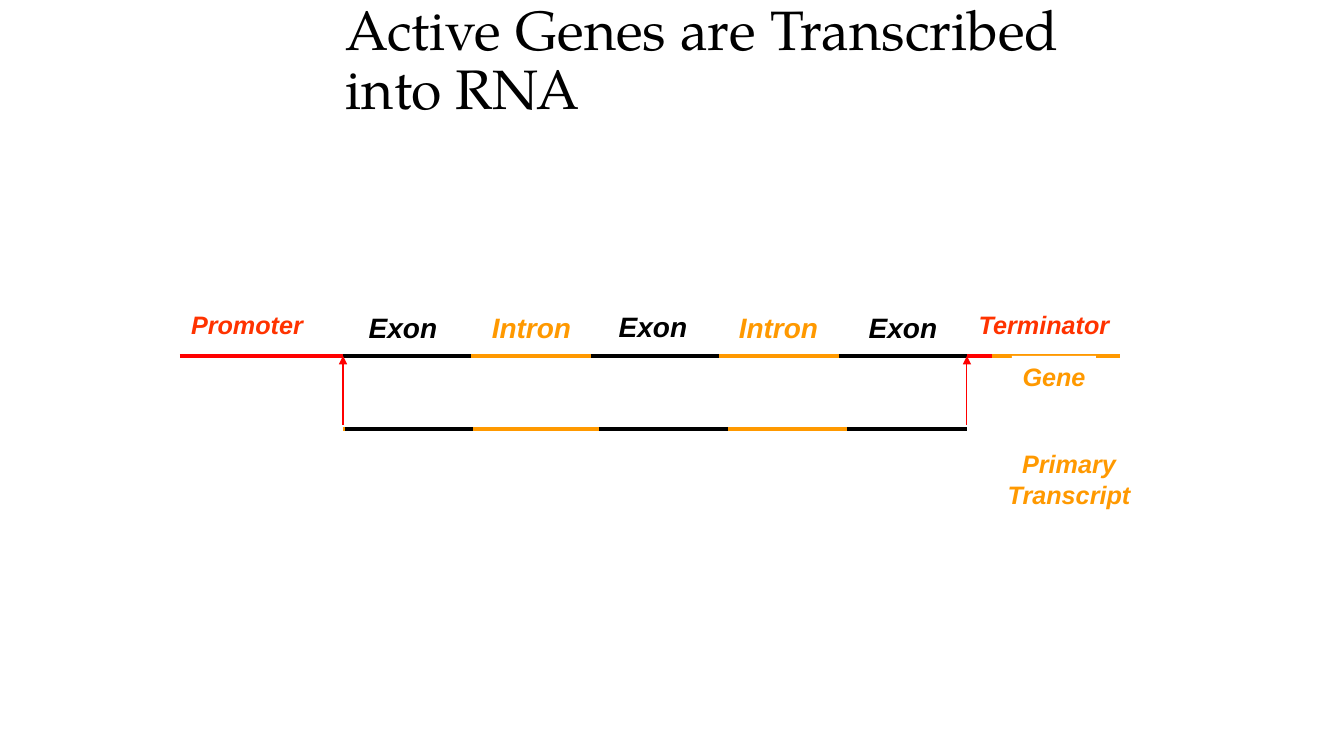
"""Build a slide showing how an active gene is transcribed into RNA."""
from lxml import etree
from pptx import Presentation
from pptx.dml.color import RGBColor
from pptx.enum.shapes import MSO_CONNECTOR, MSO_SHAPE
from pptx.enum.text import MSO_ANCHOR, MSO_AUTO_SIZE, PP_ALIGN
from pptx.oxml.ns import qn
from pptx.util import Emu, Pt

STRAIGHT = MSO_CONNECTOR.STRAIGHT
RECTANGLE = MSO_SHAPE.RECTANGLE
MIDDLE = MSO_ANCHOR.MIDDLE
GROW = MSO_AUTO_SIZE.SHAPE_TO_FIT_TEXT
CENTER = PP_ALIGN.CENTER
LEFT = PP_ALIGN.LEFT

EMU_PER_PX = 914400 / 100.8
BLACK, WHITE, RED = "000000", "FFFFFF", "FF0000"
ORANGE, VERMILION = "FF9900", "FF3300"

GENE_Y, TRANSCRIPT_Y = 356, 429
GENE_START, GENE_END = 180, 1120
CODING_START, CODING_END = 343, 967
GENE_EXONS = [(CODING_START, 471), (591, 719), (839, CODING_END)]
TRANSCRIPT_EXONS = [(345, 473), (599, 728), (847, CODING_END)]
FLANKS = [(CODING_END, 992), (318, CODING_START), (GENE_START, CODING_START)]

TRANSCRIPT_LABEL = ("Primary\nTranscript", (997, 443, 144, 72), 18, ORANGE)
GENE_LABELS = [
    ("Gene", (1012, 356, 84, 40), 18, ORANGE),
    ("Intron", (481, 305, 101, 45), 20, ORANGE),
    ("Intron", (728, 305, 101, 45), 20, ORANGE),
    ("Exon", (358, 305, 90, 45), 20, BLACK),
    ("Exon", (608, 304, 90, 45), 20, BLACK),
    ("Exon", (858, 305, 90, 45), 20, BLACK),
    ("Promoter", (180, 304, 134, 41), 18, VERMILION),
    ("Terminator", (967, 304, 154, 41), 18, VERMILION),
]


def px(length):
    """Convert pixels to EMU."""
    return Emu(round(length * EMU_PER_PX))


def color(hex_value):
    """Convert a hex string to a colour."""
    return RGBColor.from_string(hex_value)


def apply(target, values):
    """Set each attribute named in values on target."""
    for name, value in values.items():
        setattr(target, name, value)


def write(frame, text, align, spacing, hex_color, font_values):
    """Fill a text frame, one paragraph for each line of text."""
    for index, line in enumerate(text.split("\n")):
        paragraph = frame.paragraphs[0] if index == 0 else frame.add_paragraph()
        apply(paragraph, {"alignment": align, "line_spacing": spacing})
        run = paragraph.add_run()
        run.text = line
        apply(run.font, font_values)
        run.font.color.rgb = color(hex_color)


def add_title(slide, text):
    """Add the slide title."""
    title = slide.shapes.add_textbox(*map(px, (336, 25, 840, 74)))
    apply(title.text_frame, {"word_wrap": True, "vertical_anchor": MIDDLE,
                             "margin_right": px(20)})
    write(title.text_frame, text, LEFT, 0.9, BLACK,
          {"name": "TeX Gyre Pagella", "size": Pt(39.6)})


def add_label(slide, text, box, size, hex_color):
    """Add a white box that names a part of the gene."""
    label = slide.shapes.add_shape(RECTANGLE, *map(px, box))
    label.shadow.inherit = False
    label.fill.solid()
    label.fill.fore_color.rgb = color(WHITE)
    label.line.fill.background()
    apply(label.text_frame, {"word_wrap": False, "auto_size": GROW})
    write(label.text_frame, text, CENTER, 1.0, hex_color,
          {"name": "Arial", "size": Pt(size), "bold": True, "italic": True})


def add_line(slide, start, end, hex_color, width=2.25):
    """Add a straight line and return it."""
    line = slide.shapes.add_connector(STRAIGHT, *map(px, start + end))
    line.line.color.rgb = color(hex_color)
    line.line.width = Pt(width)
    etree.SubElement(line._element.spPr, qn("a:effectLst"))
    return line


def add_strand(slide, y, start, end, exons):
    """Add an orange strand with its exons in black."""
    add_line(slide, (start, y), (end, y), ORANGE)
    for exon_start, exon_end in exons:
        add_line(slide, (exon_start, y), (exon_end, y), BLACK)


def add_boundary_arrow(slide, x):
    """Add a thin red arrow pointing up at the gene."""
    arrow = add_line(slide, (x, GENE_Y), (x, TRANSCRIPT_Y - 4), RED, 0.75)
    etree.SubElement(arrow.line._get_or_add_ln(), qn("a:headEnd"), type="triangle")


def main():
    """Build and save the slide."""
    deck = Presentation()
    apply(deck, {"slide_width": px(1344), "slide_height": px(756)})
    slide = deck.slides.add_slide(deck.slide_layouts[6])
    add_title(slide, "Active Genes are Transcribed into RNA")
    add_strand(slide, TRANSCRIPT_Y, CODING_START, CODING_END, TRANSCRIPT_EXONS)
    add_label(slide, *TRANSCRIPT_LABEL)
    add_strand(slide, GENE_Y, GENE_START, GENE_END, GENE_EXONS)
    for label in GENE_LABELS:
        add_label(slide, *label)
    for boundary in (CODING_START, CODING_END):
        add_boundary_arrow(slide, boundary)
    for start, end in FLANKS:
        add_line(slide, (start, GENE_Y), (end, GENE_Y), RED)
    deck.save("out.pptx")


if __name__ == "__main__":
    main()
